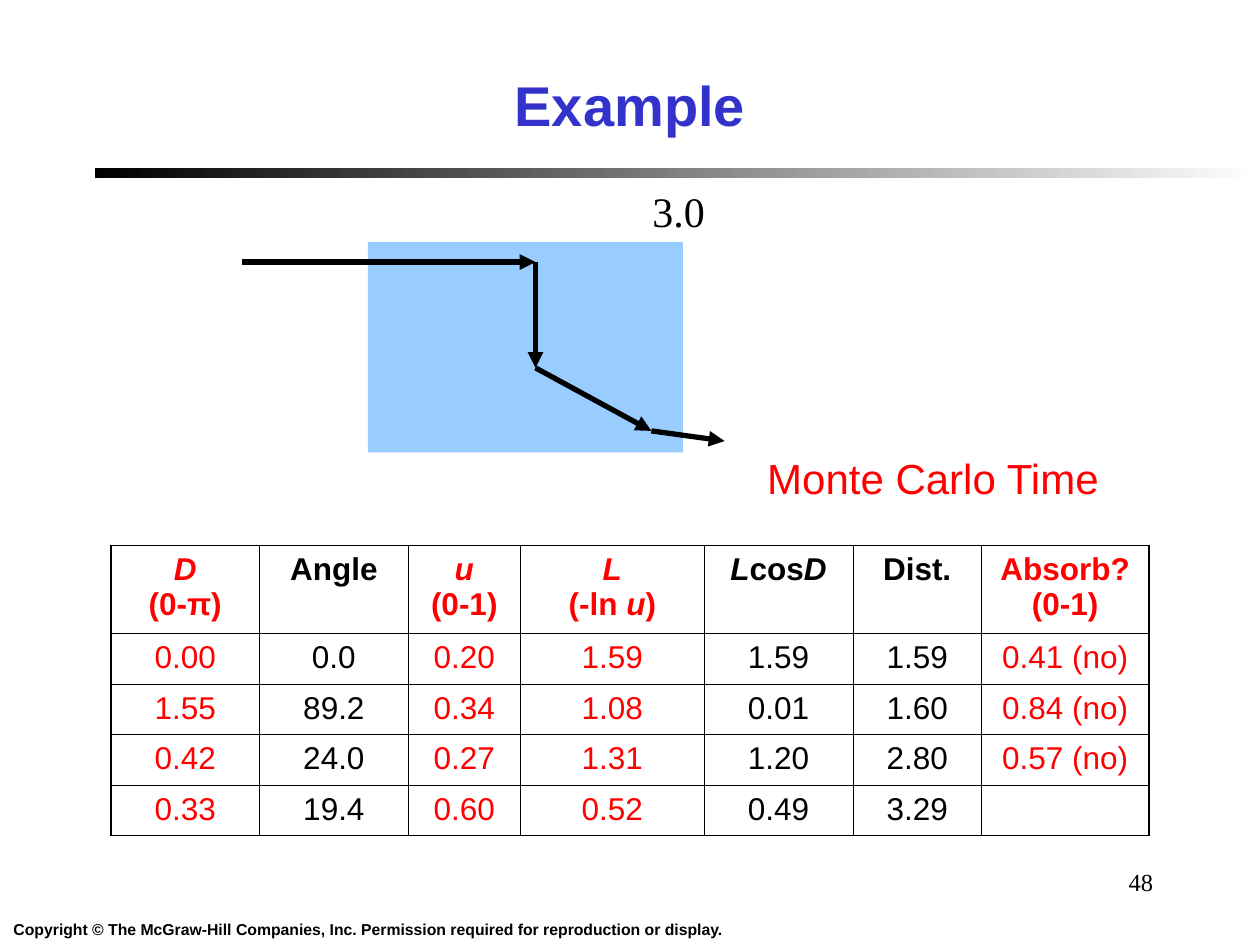
import pptx
import pptx.util
import pptx.dml.color
import pptx.enum.shapes
import pptx.enum.text
import pptx.oxml
import pptx.oxml.ns
from lxml import etree

Inches = pptx.util.Inches
Pt = pptx.util.Pt
ALIGN = pptx.enum.text.PP_ALIGN
ANCHOR = pptx.enum.text.MSO_ANCHOR
AUTO_SIZE = pptx.enum.text.MSO_AUTO_SIZE
qn = pptx.oxml.ns.qn

COLORS = {
    "black": "000000",
    "white": "FFFFFF",
    "red": "FF0000",
    "title": "3333CC",
    "block": "99CCFF",
}
HEADERS = ["*D*\n(0-π)", "Angle", "*u*\n(0-1)", "*L*\n(-ln *u*)",
           "*L*cos*D*", "Dist.", "Absorb?\n(0-1)"]
ROWS = [
    ["0.00", "0.0", "0.20", "1.59", "1.59", "1.59", "0.41 (no)"],
    ["1.55", "89.2", "0.34", "1.08", "0.01", "1.60", "0.84 (no)"],
    ["0.42", "24.0", "0.27", "1.31", "1.20", "2.80", "0.57 (no)"],
    ["0.33", "19.4", "0.60", "0.52", "0.49", "3.29", ""],
]
COL_WIDTHS = [1.18, 1.18, 0.89, 1.46, 1.18, 1.02, 1.33]
ROW_HEIGHTS = [0.7, 0.4, 0.4, 0.4, 0.4]
RANDOM_COLS = {0, 2, 3, 6}


def rgb(name):
    return pptx.dml.color.RGBColor.from_string(COLORS[name])


def write_text(tf, text, size=18, font="Arial", color="black", bold=False,
               align=ALIGN.LEFT):
    for i, line in enumerate(text.split("\n")):
        p = tf.add_paragraph() if i else tf.paragraphs[0]
        p.alignment = align
        for j, part in enumerate(line.split("*")):
            if part:
                r = p.add_run()
                r.text = part
                r.font.size = Pt(size)
                r.font.name = font
                r.font.bold = bold
                r.font.italic = j % 2 == 1
                r.font.color.rgb = rgb(color)


def add_text(s, text, x, y, w, h, wrap=True, anchor=ANCHOR.TOP, **fmt):
    sp = s.shapes.add_textbox(Inches(x), Inches(y), Inches(w), Inches(h))
    tf = sp.text_frame
    tf.word_wrap = wrap
    tf.auto_size = AUTO_SIZE.NONE if wrap else AUTO_SIZE.SHAPE_TO_FIT_TEXT
    tf.vertical_anchor = anchor
    write_text(tf, text, **fmt)


def add_rect(s, x, y, w, h):
    sp = s.shapes.add_shape(pptx.enum.shapes.MSO_SHAPE.RECTANGLE,
                            Inches(x), Inches(y), Inches(w), Inches(h))
    sp.shadow.inherit = False
    sp.line.fill.background()
    return sp


def add_arrow(s, start, end):
    c = s.shapes.add_connector(pptx.enum.shapes.MSO_CONNECTOR.STRAIGHT,
                               *[Inches(v) for v in (*start, *end)])
    c.line.color.rgb = rgb("black")
    c.line.width = Pt(3)
    etree.SubElement(c.line._get_or_add_ln(), qn("a:tailEnd"), type="triangle")
    etree.SubElement(c._element.spPr, qn("a:effectLst"))


def add_header(s, x, y, w, h):
    add_text(s, "Example", x, y, w, h, anchor=ANCHOR.MIDDLE, size=32,
             color="title", bold=True, align=ALIGN.CENTER)
    bar = add_rect(s, x + 0.5, y + h, 10 - x - 0.5, 0.08)
    bar.fill.gradient()
    bar.fill.gradient_angle = 0
    for stop, name in zip(bar.fill.gradient_stops, ("black", "white")):
        stop.color.rgb = rgb(name)


def add_diagram(s, x, y, w, h):
    size = w / 3
    for row in range(2):
        for col in range(3):
            block = add_rect(s, x + col * size, y + row * h / 2, size, h / 2)
            block.fill.solid()
            block.fill.fore_color.rgb = rgb("block")
    offsets = [(-1, 0.16), (1.33, 0.16), (1.33, 1), (2.25, 1.5), (2.83, 1.58)]
    points = [(x + dx, y + dy) for dx, dy in offsets]
    for start, end in zip(points, points[1:]):
        add_arrow(s, start, end)
    add_text(s, "3.0", x + w - 0.34, y - 0.5, 0.63, 0.5, wrap=False,
             size=24, font="Times New Roman")
    add_text(s, "Monte Carlo Time", x + w + 0.57, y + h - 0.05, 2.85, 0.5,
             wrap=False, size=24, color="red")


def set_borders(cell, outer):
    tcPr = cell._tc.get_or_add_tcPr()
    for side in ("L", "R", "T", "B"):
        width = Pt(1.08 if side in outer else 0.45)
        ln = etree.SubElement(tcPr, qn("a:ln" + side), w=str(int(width)))
        fill = etree.SubElement(ln, qn("a:solidFill"))
        etree.SubElement(fill, qn("a:srgbClr"), val=COLORS["black"])


def add_results(s, x, y, w, h):
    data = [HEADERS] + ROWS
    table = s.shapes.add_table(len(data), len(HEADERS), Inches(x), Inches(y),
                               Inches(w), Inches(h)).table
    table.first_row = False
    table.horz_banding = False
    for column, width in zip(table.columns, COL_WIDTHS):
        column.width = Inches(width)
    for row, height in zip(table.rows, ROW_HEIGHTS):
        row.height = Inches(height)
    for i, values in enumerate(data):
        for j, text in enumerate(values):
            cell = table.cell(i, j)
            edges = {"L": j == 0, "R": j == len(HEADERS) - 1,
                     "T": i == 0, "B": i == len(data) - 1}
            set_borders(cell, {side for side, on in edges.items() if on})
            cell.fill.background()
            write_text(cell.text_frame, text, bold=i == 0, align=ALIGN.CENTER,
                       color="red" if j in RANDOM_COLS else "black")


def add_footer(s, x, y, w, h):
    add_text(s, "Copyright © The McGraw-Hill Companies, Inc. Permission "
             "required for reproduction or display.", x, y + h - 0.25, 5.84,
             0.25, wrap=False, size=9, bold=True, align=ALIGN.CENTER)
    add_text(s, "48", x + w - 2.83, y, 2.08, 0.5, size=14,
             font="Times New Roman", align=ALIGN.RIGHT)


def main():
    prs = pptx.Presentation()
    prs.slide_width = Inches(10)
    prs.slide_height = Inches(7.5)
    s = prs.slides.add_slide(prs.slide_layouts[6])
    add_header(s, 0.25, 0.33, 9.5, 1)
    add_footer(s, 0, 6.83, 10, 0.67)
    add_results(s, 0.88, 4.33, 8.25, 2.3)
    add_diagram(s, 2.92, 1.92, 2.5, 1.67)
    prs.save("out.pptx")


if __name__ == "__main__":
    main()
